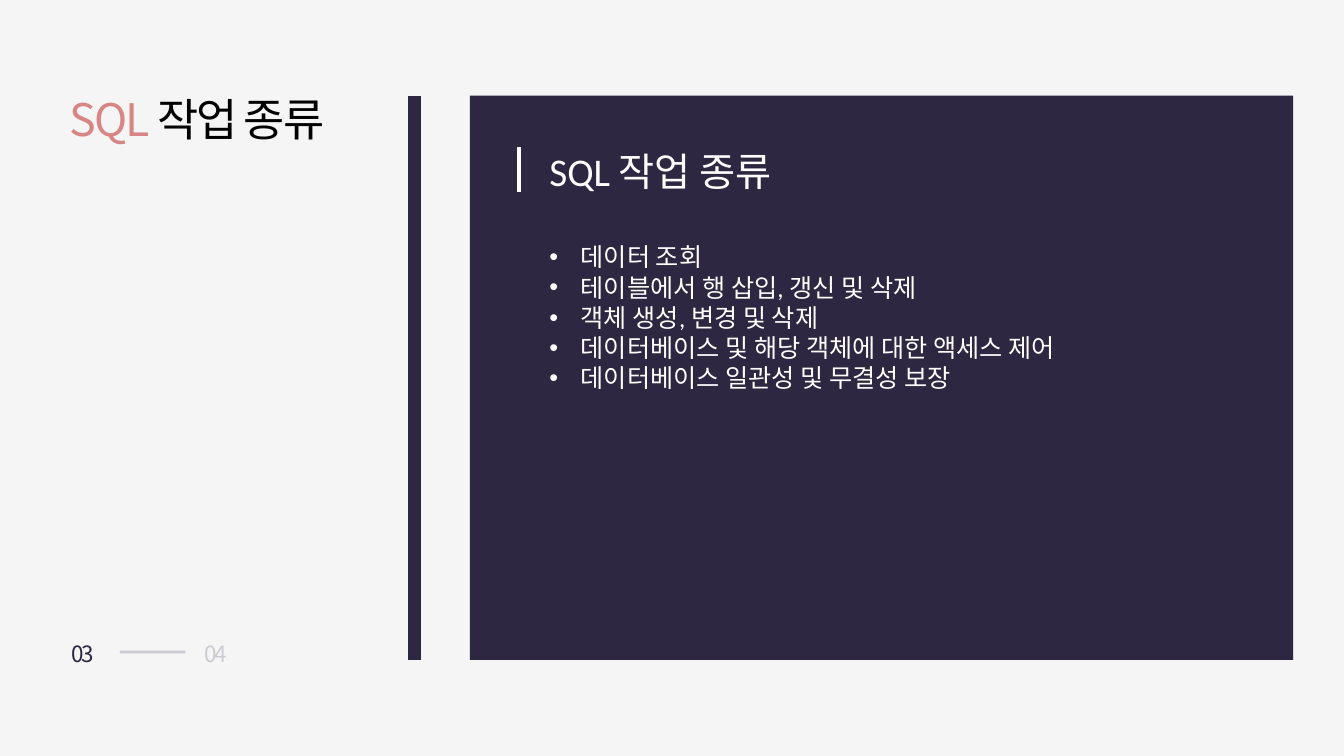
from lxml import etree
from pptx import Presentation
from pptx import util as u
from pptx.dml.color import RGBColor
from pptx.enum import shapes, text
from pptx.oxml import ns

COLORS = {"paper": "F5F5F5", "navy": "2D2741", "rose": "D78585",
          "black": "000000", "white": "FFFFFF"}
SANS = "Noto Sans CJK KR"
FAINT = 20
TOPICS = [
    "데이터 조회",
    "테이블에서 행 삽입, 갱신 및 삭제",
    "객체 생성, 변경 및 삭제",
    "데이터베이스 및 해당 객체에 대한 액세스 제어",
    "데이터베이스 일관성 및 무결성 보장",
]


def paint(fill, color, opacity=100):
    fill.solid()
    fill.fore_color.rgb = RGBColor.from_string(COLORS[color])
    if opacity < 100:
        tint = fill._xPr.find(".//" + ns.qn("a:srgbClr"))
        etree.SubElement(tint, ns.qn("a:alpha"), val=str(opacity * 1000))


def add_line(slide, start, end, color, weight, opacity=100):
    line = slide.shapes.add_connector(
        shapes.MSO_CONNECTOR.STRAIGHT, *map(u.Cm, start + end))
    line.line.width = u.Pt(weight)
    paint(line.line.fill, color, opacity)
    etree.SubElement(line._element.spPr, ns.qn("a:effectLst"))


def place(shape, left, top, width, height):
    shape.left, shape.top = u.Cm(left), u.Cm(top)
    shape.width, shape.height = u.Cm(width), u.Cm(height)


def set_label(shape, size, parts, opacity=100):
    frame = shape.text_frame
    frame.word_wrap = False
    frame.auto_size = text.MSO_AUTO_SIZE.NONE
    frame.vertical_anchor = text.MSO_ANCHOR.TOP
    label = frame.paragraphs[0]
    label.alignment = text.PP_ALIGN.LEFT
    label.line_spacing = 1.1
    label.font.size = u.Pt(size)
    label.font.name = SANS
    style = label._p.pPr.find(ns.qn("a:defRPr"))
    style.set("spc", "-150")
    etree.SubElement(style, ns.qn("a:ea"), typeface=SANS)
    for words, color in parts:
        run = label.add_run()
        run.text = words
        paint(run.font.fill, color, opacity)


def add_sidebar(slide, left, top, width, height):
    title = slide.shapes.title
    place(title, left, top - 0.36, 7.44, 1.63)
    set_label(title, 32, [("SQL ", "rose"), ("작업 종류", "black")])

    for number, offset, opacity in (("03", 0.05, 100), ("04", 3.4, FAINT)):
        page = slide.shapes.add_textbox(
            *map(u.Cm, (left + offset, top + height - 0.7, 1.24, 0.99)))
        set_label(page, 16, [(number, "navy")], opacity)
    dash = top + height - 0.2
    add_line(slide, (left + 1.52, dash), (left + 3.17, dash), "navy", 2, FAINT)

    edge = left + width
    add_line(slide, (edge, top + height), (edge, top), "navy", 9.5)


def add_topic_panel(slide, left, top, width, height):
    panel = slide.shapes.add_shape(
        shapes.MSO_SHAPE.RECTANGLE, *map(u.Cm, (left, top, width, height)))
    panel.shadow.inherit = False
    paint(panel.fill, "navy")
    panel.line.fill.background()
    slide.shapes._spTree.insert(2, panel._element)

    accent = left + 1.24
    add_line(slide, (accent, top + 1.3), (accent, top + 2.44), "white", 3.5)

    body = slide.placeholders[1]
    place(body, left + 1.75, top + 1.17, 15.8, 8.89)
    frame = body.text_frame
    frame.auto_size = text.MSO_AUTO_SIZE.NONE
    frame.text = "\n".join(["SQL 작업 종류"] + TOPICS)
    heading, *topics = frame.paragraphs
    for paragraph in frame.paragraphs:
        paragraph.space_before = u.Pt(0)
        paragraph.font.size = u.Pt(18)
        paragraph.font.name = "Calibri"
        paint(paragraph.font.fill, "white")
    heading.font.size = u.Pt(28)
    heading.space_after = u.Pt(34)
    no_bullet = etree.Element(ns.qn("a:buNone"))
    heading._p.pPr.find(ns.qn("a:defRPr")).addprevious(no_bullet)
    indents = [(heading, 0)] + [(topic, u.Cm(0.79)) for topic in topics]
    for paragraph, indent in indents:
        paragraph._p.pPr.set("marL", str(indent))
        paragraph._p.pPr.set("indent", str(-indent))


deck = Presentation()
deck.slide_width, deck.slide_height = u.Cm(33.87), u.Cm(19.05)
slide = deck.slides.add_slide(deck.slide_layouts[1])
paint(slide.background.fill, "paper")
add_sidebar(slide, 1.5, 2.41, 8.94, 14.22)
add_topic_panel(slide, 11.84, 2.41, 20.75, 14.22)
deck.save("out.pptx")
